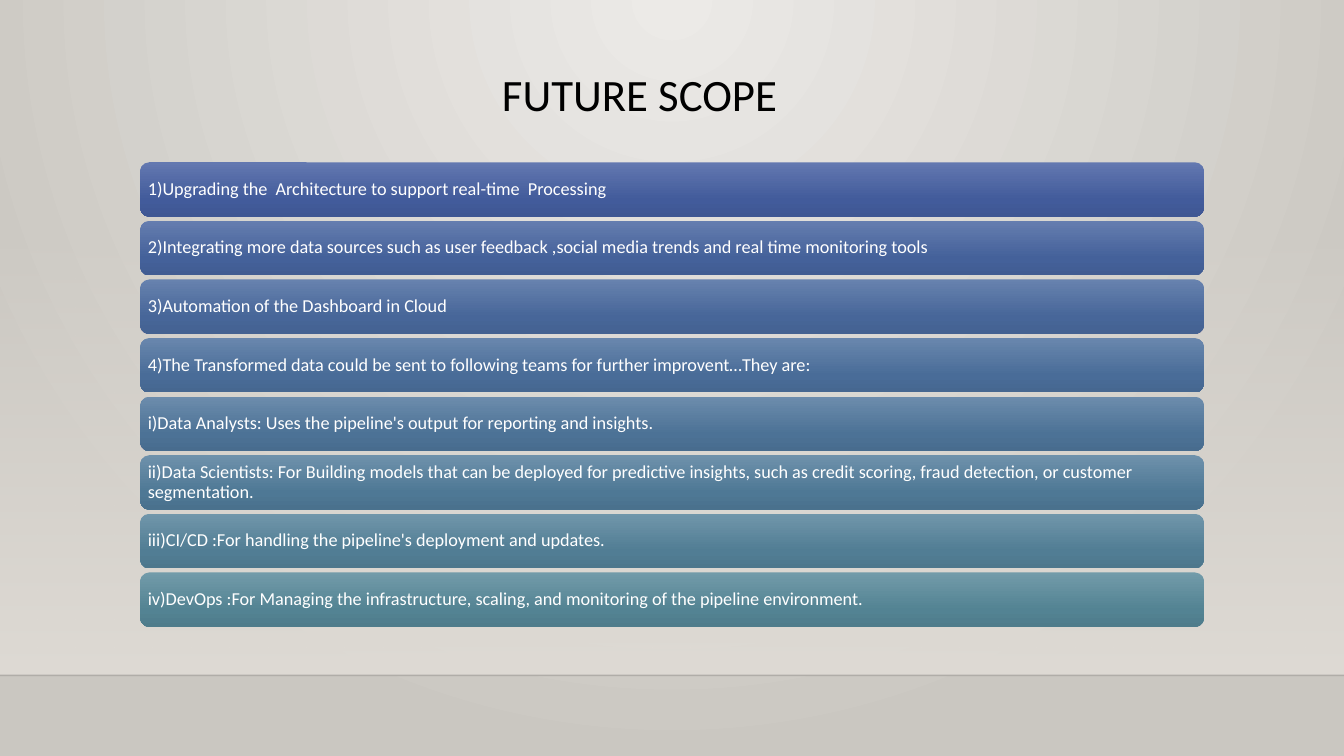
"""Build the future scope slide."""
from lxml.etree import SubElement
from pptx import Presentation
from pptx.dml.color import RGBColor
from pptx.enum.shapes import MSO_CONNECTOR, MSO_SHAPE
from pptx.enum.text import MSO_ANCHOR, MSO_AUTO_SIZE, PP_ALIGN
from pptx.oxml import parse_xml
from pptx.oxml.ns import nsdecls, qn
from pptx.util import Inches, Pt

WIDE, HIGH = Inches(13.33), Inches(7.5)
FONT = "Calibri"
BLACK = RGBColor(0x00, 0x00, 0x00)
WHITE = RGBColor(0xFF, 0xFF, 0xFF)
LIGHT = RGBColor(0xEC, 0xEA, 0xE7)
DARK = RGBColor(0xCA, 0xC7, 0xC1)
WALL = RGBColor(0xDF, 0xDB, 0xD5)
STOPS = (0, 69, 100)
BLUE = (RGBColor(0x63, 0x78, 0xB0), RGBColor(0x42, 0x5B, 0x9B),
        RGBColor(0x3F, 0x57, 0x93))
TEAL = (RGBColor(0x72, 0x9B, 0xA9), RGBColor(0x53, 0x83, 0x93),
        RGBColor(0x4F, 0x7C, 0x8B))
DOWN = '<a:lin ang="5400000" scaled="0"/>'
ROUND = ('<a:path path="circle"><a:fillToRect l="43000" t="0" '
         'r="43000" b="100000"/></a:path>')
LEFT, SPAN, TOP, STEP, TALL = 10.43, 79.15, 21.47, 7.75, 7.2
FLOOR = 89.33
ITEMS = (
    "1)Upgrading the  Architecture to support real-time  Processing",
    "2)Integrating more data sources such as user feedback ,social media "
    "trends and real time monitoring tools",
    "3)Automation of the Dashboard in Cloud",
    "4)The Transformed data could be sent to following teams for further "
    "improvent…They are:",
    "i)Data Analysts: Uses the pipeline's output for reporting and insights.",
    "ii)Data Scientists: For Building models that can be deployed for "
    "predictive insights, such as credit scoring, fraud detection, or "
    "customer segmentation.",
    "iii)CI/CD :For handling the pipeline's deployment and updates.",
    "iv)DevOps :For Managing the infrastructure, scaling, and monitoring "
    "of the pipeline environment.",
)


def box(x, y, w, h):
    """Turn percent shares of the slide into lengths."""
    return (int(WIDE * x / 100), int(HIGH * y / 100),
            int(WIDE * w / 100), int(HIGH * h / 100))


def mix(start, end, share):
    """Blend two colours by a share from 0 to 1."""
    return RGBColor(*(round(a + (b - a) * share) for a, b in zip(start, end)))


def shade(owner, stops, tail):
    """Swap the solid fill in an element for a gradient."""
    marks = "".join(
        f'<a:gs pos="{pos * 1000}"><a:srgbClr val="{tone}">'
        f'<a:alpha val="{alpha * 1000}"/></a:srgbClr></a:gs>'
        for pos, tone, alpha in stops)
    fill = parse_xml(f'<a:gradFill {nsdecls("a")} rotWithShape="1">'
                     f'<a:gsLst>{marks}</a:gsLst>{tail}</a:gradFill>')
    old = next(owner.iter(qn("a:solidFill")))
    old.getparent().replace(old, fill)


def panel(slide, kind, area, stops):
    """Add a shape with a gradient from top to bottom."""
    shape = slide.shapes.add_shape(kind, *box(*area))
    shape.shadow.inherit = False
    shape.fill.solid()
    shape.line.fill.background()
    shade(shape.element.spPr, stops, DOWN)
    return shape


def write(frame, text, size, tone, after):
    """Put one left-aligned run into a text frame."""
    frame.word_wrap = True
    frame.auto_size = MSO_AUTO_SIZE.NONE
    para = frame.paragraphs[0]
    para.alignment = PP_ALIGN.LEFT
    para.line_spacing = 0.9
    para.space_after = Pt(after)
    run = para.add_run()
    run.text = text
    run.font.name = FONT
    run.font.size = Pt(size)
    run.font.color.rgb = tone


def scene(slide):
    """Paint the background, the wall and the floor line."""
    slide.background.fill.solid()
    shade(slide.element, ((0, LIGHT, 100), (100, DARK, 100)), ROUND)
    panel(slide, MSO_SHAPE.RECTANGLE, (0, 29.47, 100, FLOOR - 29.47),
          ((0, WALL, 0), (100, WALL, 100)))
    edge = int(HIGH * FLOOR / 100)
    rule = slide.shapes.add_connector(MSO_CONNECTOR.STRAIGHT, 0, edge, WIDE, edge)
    rule.line.width = Pt(1)
    rule.line.color.rgb = BLACK
    props = rule.element.spPr
    tone = next(props.iter(qn("a:srgbClr")))
    SubElement(tone, qn("a:alpha")).set("val", "20000")
    SubElement(props, qn("a:effectLst"))


def title(slide, text):
    """Move and fill the title placeholder."""
    head = slide.shapes.title
    head.left, head.top, head.width, head.height = box(36.6, 8.93, 26.86, 19.2)
    head.text_frame.vertical_anchor = MSO_ANCHOR.TOP
    write(head.text_frame, text, 32, BLACK, 6)


def card(slide, index, text):
    """Add one list bar, coloured by its place in the list."""
    share = index / (len(ITEMS) - 1)
    stops = [(pos, mix(a, b, share), 100)
             for pos, a, b in zip(STOPS, BLUE, TEAL)]
    bar = panel(slide, MSO_SHAPE.ROUNDED_RECTANGLE,
                (LEFT, TOP + index * STEP, SPAN, TALL), stops)
    frame = bar.text_frame
    frame.vertical_anchor = MSO_ANCHOR.MIDDLE
    frame.margin_left = frame.margin_right = Inches(0.05)
    frame.margin_top = frame.margin_bottom = Inches(0.05)
    write(frame, text, 13, WHITE, 4.5)


def main():
    """Build and save the slide."""
    deck = Presentation()
    deck.slide_width, deck.slide_height = WIDE, HIGH
    slide = deck.slides.add_slide(deck.slide_layouts[5])
    scene(slide)
    title(slide, "FUTURE SCOPE")
    for index, text in enumerate(ITEMS):
        card(slide, index, text)
    deck.save("out.pptx")


if __name__ == "__main__":
    main()
